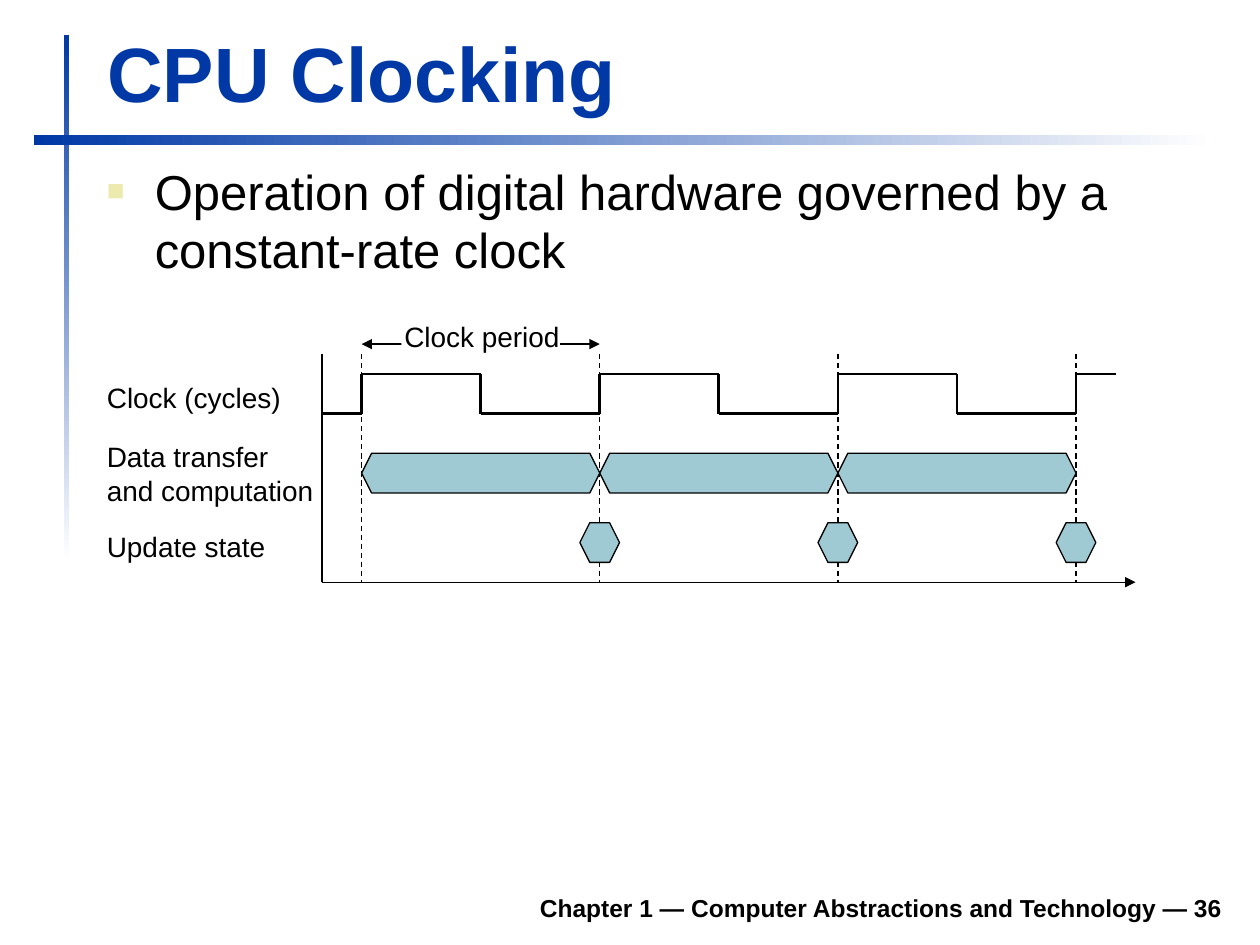
from lxml import etree
from pptx import Presentation
from pptx.dml.color import RGBColor
from pptx.enum.dml import MSO_LINE
from pptx.enum.shapes import MSO_CONNECTOR, MSO_SHAPE
from pptx.enum.text import MSO_ANCHOR, MSO_AUTO_SIZE, PP_ALIGN
from pptx.oxml.ns import qn
from pptx.util import Inches, Pt

STRAIGHT, RECT = MSO_CONNECTOR.STRAIGHT, MSO_SHAPE.RECTANGLE
DASH = MSO_LINE.DASH
TOP, BOTTOM = MSO_ANCHOR.TOP, MSO_ANCHOR.BOTTOM
LEFT, CENTER, RIGHT = PP_ALIGN.LEFT, PP_ALIGN.CENTER, PP_ALIGN.RIGHT
NO_FIT = MSO_AUTO_SIZE.NONE

THEME = {
    "font": "Arial",
    "blue": RGBColor(0x00, 0x39, 0xA6),
    "white": RGBColor(0xFF, 0xFF, 0xFF),
    "black": RGBColor(0x00, 0x00, 0x00),
    "teal": RGBColor(0x9F, 0xCA, 0xD3),
    "bullet": "ECEAAC",
    "title": 44, "body": 28, "label": 16, "footer": 14,
    "thin": Pt(0.75), "thick": Pt(1.5),
}

# Timing grid: column 0 is the first rising edge, row 0 the top of the diagram
PERIOD_COLS, PERIODS = 6, 3
UNIT = 1.89 / PERIOD_COLS
EDGES = [n * PERIOD_COLS for n in range(PERIODS + 1)]
AXIS, HIGH, LOW, BASE = -1, 0.5, 1.5, 5.75

prs = Presentation()
prs.slide_width, prs.slide_height = Inches(10), Inches(7.5)
s = prs.slides.add_slide(prs.slide_layouts[5])


def grid(col, row):
    return Inches(2.87 + col * UNIT), Inches(2.81 + row * UNIT)


def write(sp, text, size, color="black", bold=False, align=LEFT, anchor=TOP, wrap=True):
    tf = sp.text_frame
    frame_format = {"auto_size": NO_FIT, "word_wrap": wrap, "vertical_anchor": anchor}
    for name, value in frame_format.items():
        setattr(tf, name, value)
    p = tf.paragraphs[0]
    p.text, p.alignment = text, align
    for r in p.runs:
        run_format = {"name": THEME["font"], "size": Pt(THEME[size]), "bold": bold}
        for name, value in run_format.items():
            setattr(r.font, name, value)
        r.font.color.rgb = THEME[color]
    return p


# Crossed gradient rules
for box, angle in (((0.51, 0.28, 0.04, 4.17), 270), ((0.27, 1.07, 9.37, 0.08), 0)):
    sp = s.shapes.add_shape(RECT, *map(Inches, box))
    sp.shadow.inherit = False
    sp.line.fill.background()
    sp.fill.gradient()
    sp.fill.gradient_angle = angle
    for stop, color, position in zip(sp.fill.gradient_stops, ("blue", "white"), (0, 1)):
        stop.color.rgb, stop.position = THEME[color], position

# Title, bullet and footer
title = s.shapes.title
for name, value in zip(("left", "top", "width", "height"), (0.75, 0.16, 9.03, 0.83)):
    setattr(title, name, Inches(value))
write(title, "CPU Clocking", "title", "blue", bold=True, anchor=BOTTOM)

body = s.shapes.add_textbox(*map(Inches, (0.75, 1.23, 9.05, 1.34)))
p = write(body, "Operation of digital hardware governed by a constant-rate clock", "body")
pPr = p._p.get_or_add_pPr()
pPr.set("marL", str(Inches(0.38)))
pPr.set("indent", str(-Inches(0.38)))
bullet_color = etree.SubElement(pPr, qn("a:buClr"))
etree.SubElement(bullet_color, qn("a:srgbClr"), val=THEME["bullet"])
etree.SubElement(pPr, qn("a:buSzPct"), val="60000")
etree.SubElement(pPr, qn("a:buFont"), typeface=THEME["font"])
etree.SubElement(pPr, qn("a:buChar"), char="■")

footer = s.shapes.add_textbox(*map(Inches, (1.85, 6.98, 7.95, 0.39)))
write(footer, "Chapter 1 — Computer Abstractions and Technology — 36", "footer",
      bold=True, align=RIGHT, anchor=BOTTOM)

# Lines: start, end, width, dash, arrowheads
lines = [((0, -0.25), (PERIOD_COLS, -0.25), "thin", None, ("headEnd", "tailEnd"))]
lines += [((edge, 0), (edge, BASE), "thin", DASH, ()) for edge in EDGES]

wave = [(AXIS, LOW)]
for edge in EDGES[:-1]:
    fall = edge + PERIOD_COLS / 2
    wave += [(edge, LOW), (edge, HIGH), (fall, HIGH), (fall, LOW)]
wave += [(EDGES[-1], LOW), (EDGES[-1], HIGH), (EDGES[-1] + 1, HIGH)]
lines += [(start, end, "thick", None, ()) for start, end in zip(wave, wave[1:])]

lines += [((AXIS, BASE), (EDGES[-1] + 1.5, BASE), "thin", None, ("tailEnd",)),
          ((AXIS, BASE), (AXIS, 0), "thin", None, ())]

for start, end, width, dash, arrows in lines:
    line = s.shapes.add_connector(STRAIGHT, *grid(*start), *grid(*end))
    line.line.color.rgb, line.line.width = THEME["black"], THEME[width]
    if dash:
        line.line.dash_style = dash
    for arrow in arrows:
        etree.SubElement(line.line._get_or_add_ln(), qn("a:" + arrow), type="triangle")
    etree.SubElement(line._element.spPr, qn("a:effectLst"))

# Hexagons: an update at the end of each period, data transfer across it
hexagons = [(edge - 0.5, 4.25, 1) for edge in EDGES[1:]]
hexagons += [(edge, 2.5, PERIOD_COLS) for edge in EDGES[:-1]]
for col, row, cols in hexagons:
    right, inset = col + cols, 0.25
    outline = [(col + inset, row), (right - inset, row), (right, row + 0.5),
               (right - inset, row + 1), (col + inset, row + 1)]
    builder = s.shapes.build_freeform(*grid(col, row + 0.5))
    builder.add_line_segments([grid(*point) for point in outline], close=True)
    sp = builder.convert_to_shape()
    sp.shadow.inherit = False
    sp.fill.solid()
    sp.fill.fore_color.rgb = THEME["teal"]
    sp.line.color.rgb, sp.line.width = THEME["black"], THEME["thin"]

# White gap in the period arrow, then the labels
gap = s.shapes.add_shape(RECT, *grid(1, -0.5), Inches(4 * UNIT), Inches(UNIT / 2))
gap.shadow.inherit = False
gap.fill.solid()
gap.fill.fore_color.rgb = THEME["white"]
gap.line.fill.background()

for text, box, align in (
    ("Clock (cycles)", (0.75, 2.97, 1.58, 0.37), LEFT),
    ("Data transfer\nand computation", (0.75, 3.44, 1.84, 0.64), LEFT),
    ("Update state", (0.75, 4.15, 1.46, 0.37), LEFT),
    ("Clock period", (3.11, 2.49, 1.43, 0.37), CENTER),
):
    label = s.shapes.add_textbox(*map(Inches, box))
    write(label, text, "label", align=align, wrap=False)

prs.save("out.pptx")
